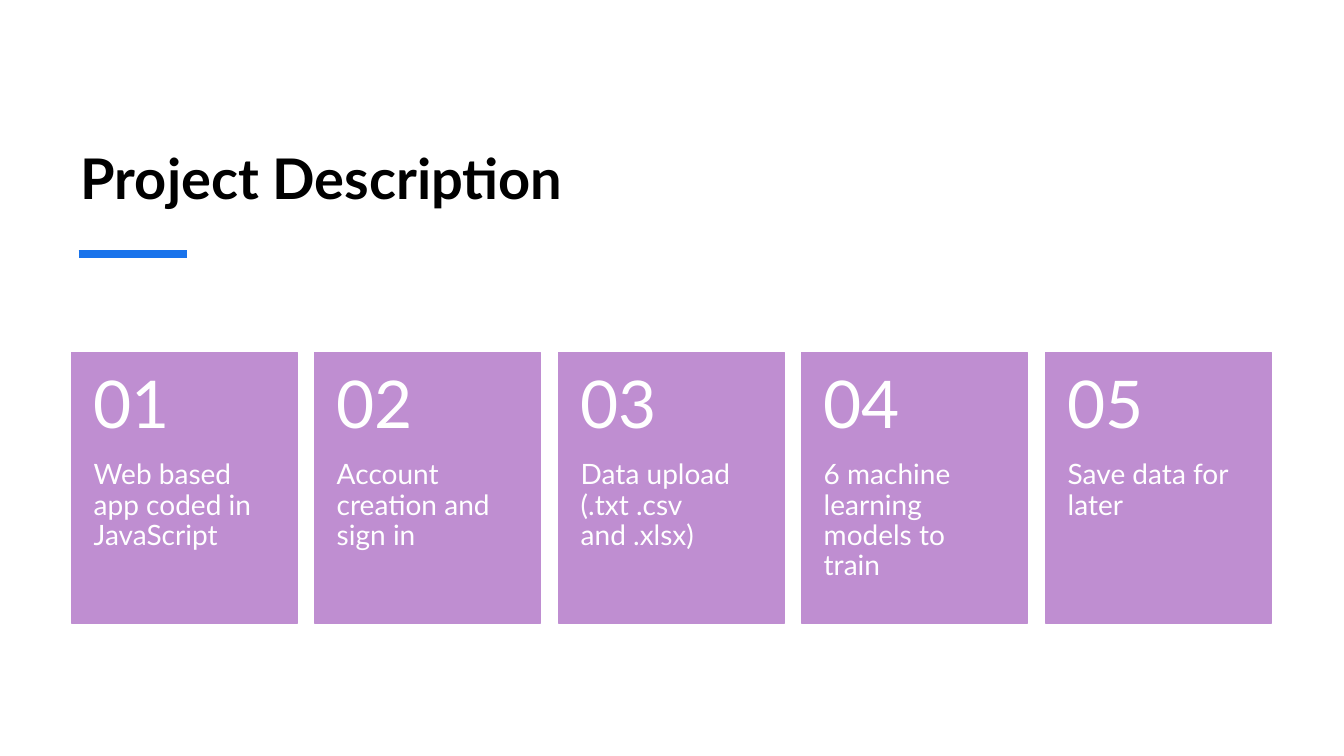
from dataclasses import dataclass

from lxml import etree
from pptx import Presentation
from pptx.dml.color import RGBColor
from pptx.enum.shapes import MSO_CONNECTOR, MSO_SHAPE
from pptx.enum.text import MSO_ANCHOR, MSO_AUTO_SIZE, PP_ALIGN
from pptx.oxml.ns import qn
from pptx.shapes.group import GroupShape
from pptx.slide import Slide
from pptx.text.text import TextFrame
from pptx.util import Emu, Pt

PX = 9144
TITLE_ONLY = 5
LEFT = PP_ALIGN.LEFT
TOP, MIDDLE, BOTTOM = MSO_ANCHOR.TOP, MSO_ANCHOR.MIDDLE, MSO_ANCHOR.BOTTOM
NO_FIT = MSO_AUTO_SIZE.NONE
RECT = MSO_SHAPE.RECTANGLE
STRAIGHT = MSO_CONNECTOR.STRAIGHT


@dataclass(frozen=True)
class Theme:
    font: str = "Lato"
    ink: RGBColor = RGBColor(0x00, 0x00, 0x00)
    white: RGBColor = RGBColor(0xFF, 0xFF, 0xFF)
    blue: RGBColor = RGBColor(0x19, 0x73, 0xEB)
    lilac: RGBColor = RGBColor(0xBF, 0x8E, 0xD1)
    title: int = 40
    number: int = 47
    body: int = 20
    rule: int = 6
    edge: int = 1


@dataclass(frozen=True)
class Box:
    left: int
    top: int
    width: int
    height: int

    def emu(self) -> tuple[Emu, ...]:
        sides = (self.left, self.top, self.width, self.height)
        return tuple(Emu(side * PX) for side in sides)


@dataclass(frozen=True)
class Style:
    size: int
    color: RGBColor
    anchor: MSO_ANCHOR
    inset: tuple[int, int, int, int]
    bold: bool = False
    spacing: float = 0.9


THEME = Theme()
TITLE = Style(THEME.title, THEME.ink, BOTTOM, (10, 5, 10, 5), True, 1.0)
NUMBER = Style(THEME.number, THEME.white, MIDDLE, (22, 18, 22, 18))
BODY = Style(THEME.body, THEME.white, TOP, (22, 0, 22, 36))

CARDS = (
    "Web based app coded in JavaScript",
    "Account creation and sign in",
    "Data upload (.txt .csv and .xlsx)",
    "6 machine learning models to train",
    "Save data for later",
)
START, SPAN, WIDTH = 71, 966, 224
CARD_TOP, HEAD, FOOT = 350, 107, 161


def write(frame: TextFrame, text: str, style: Style) -> None:
    left, top, right, bottom = (Emu(side * PX) for side in style.inset)
    layout = {
        "word_wrap": True,
        "auto_size": NO_FIT,
        "vertical_anchor": style.anchor,
        "margin_left": left,
        "margin_top": top,
        "margin_right": right,
        "margin_bottom": bottom,
    }
    for name, value in layout.items():
        setattr(frame, name, value)
    para = frame.paragraphs[0]
    para.alignment = LEFT
    para.line_spacing = style.spacing
    run = para.add_run()
    run.text = text
    look = {"name": THEME.font, "size": Pt(style.size), "bold": style.bold}
    for name, value in look.items():
        setattr(run.font, name, value)
    run.font.color.rgb = style.color


def add_title(slide: Slide, text: str) -> None:
    title = slide.shapes.title
    sides = ("left", "top", "width", "height")
    for name, value in zip(sides, Box(70, 62, 1191, 152).emu()):
        setattr(title, name, value)
    write(title.text_frame, text, TITLE)


def add_rule(slide: Slide) -> None:
    ends = (Emu(side * PX) for side in (78, 252, 185, 252))
    rule = slide.shapes.add_connector(STRAIGHT, *ends)
    rule.line.color.rgb = THEME.blue
    rule.line.width = Pt(THEME.rule)
    etree.SubElement(rule.line._get_or_add_ln().getparent(), qn("a:effectLst"))


def add_card(group: GroupShape, index: int, text: str) -> None:
    left = START + SPAN * index // (len(CARDS) - 1)
    panel = Box(left, CARD_TOP, WIDTH, HEAD + FOOT)
    card = group.shapes.add_shape(RECT, *panel.emu())
    card.shadow.inherit = False
    card.fill.solid()
    card.fill.fore_color.rgb = THEME.lilac
    card.line.color.rgb = THEME.lilac
    card.line.width = Pt(THEME.edge)
    parts = (
        (Box(left, CARD_TOP + HEAD, WIDTH, FOOT), text, BODY),
        (Box(left, CARD_TOP, WIDTH, HEAD), f"{index + 1:02}", NUMBER),
    )
    for box, words, style in parts:
        label = group.shapes.add_textbox(*box.emu())
        write(label.text_frame, words, style)


def main() -> None:
    deck = Presentation()
    deck.slide_width = Emu(1333 * PX)
    deck.slide_height = Emu(750 * PX)
    slide = deck.slides.add_slide(deck.slide_layouts[TITLE_ONLY])
    add_title(slide, "Project Description")
    add_rule(slide)
    group = slide.shapes.add_group_shape()
    for index, text in enumerate(CARDS):
        add_card(group, index, text)
    deck.save("out.pptx")


if __name__ == "__main__":
    main()
